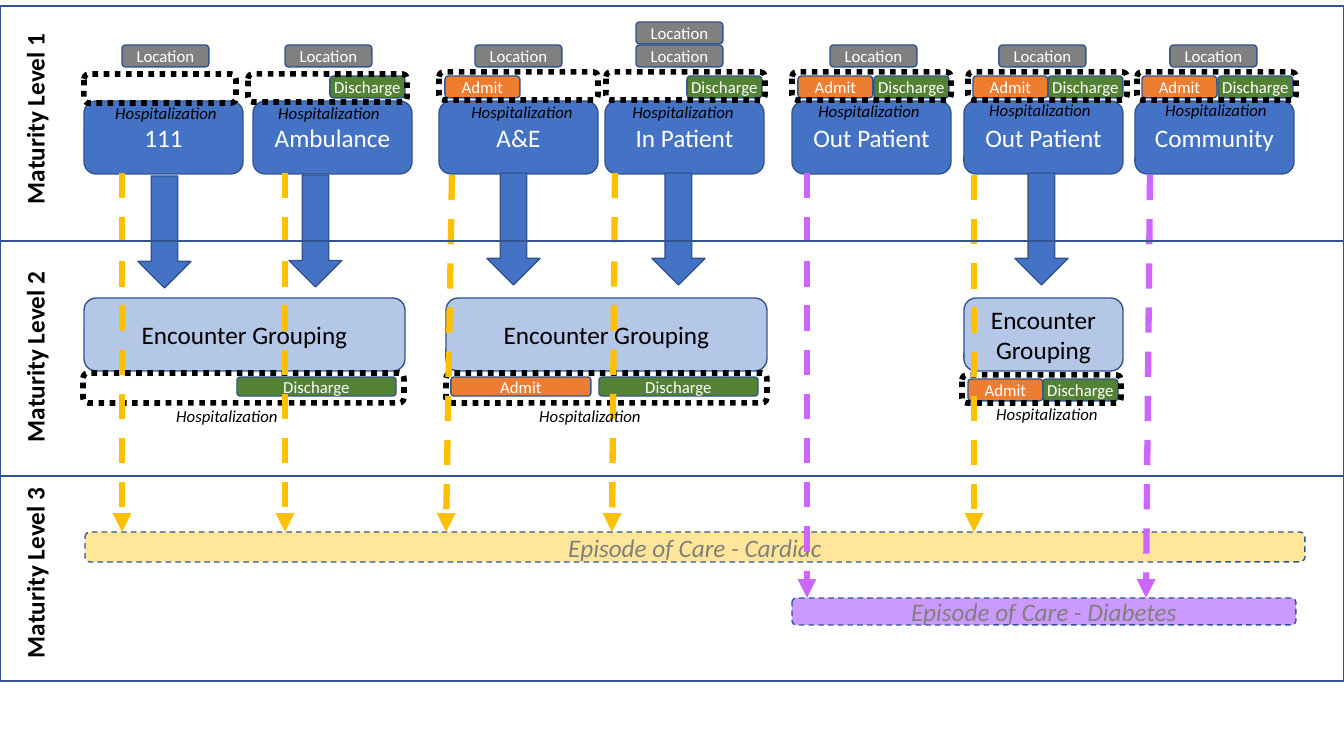
"""Builds the slide on encounters and episodes of care by maturity level."""
import lxml.etree
import pptx
import pptx.dml.color
import pptx.enum.dml
import pptx.enum.shapes
import pptx.enum.text
import pptx.oxml.ns
import pptx.util

SCALE = 914400 / 100.8
NAVY, BLUE, PALE_BLUE = "325491", "4472C4", "B4C7E7"
GREY, ORANGE, GREEN = "808080", "ED7D31", "548235"
BLACK, WHITE = "000000", "FFFFFF"
SHAPES = pptx.enum.shapes.MSO_SHAPE
DASHES = pptx.enum.dml.MSO_LINE
ROUND = SHAPES.ROUNDED_RECTANGLE

deck = pptx.Presentation()
deck.slide_width, deck.slide_height = round(1344 * SCALE), round(756 * SCALE)
page = deck.slides.add_slide(deck.slide_layouts[6])
rgb = pptx.dml.color.RGBColor.from_string


def write(box, text, size, color, bold=False, italic=False):
    frame = box.text_frame
    frame.word_wrap = True
    frame.text = text
    para = frame.paragraphs[0]
    para.alignment = pptx.enum.text.PP_ALIGN.CENTER
    font = para.runs[0].font
    font.name, font.size = "Calibri", pptx.util.Pt(size)
    font.bold, font.italic = bold, italic
    font.color.rgb = rgb(color)


def place(kind, bounds, fill=None, line=NAVY, weight=1, dash=None):
    lengths = [round(value * SCALE) for value in bounds]
    if kind is None:
        box = page.shapes.add_textbox(*lengths)
        box.text_frame.auto_size = pptx.enum.text.MSO_AUTO_SIZE.SHAPE_TO_FIT_TEXT
        return box
    box = page.shapes.add_shape(kind, *lengths)
    box.shadow.inherit = False
    if fill:
        box.fill.solid()
        box.fill.fore_color.rgb = rgb(fill)
    else:
        box.fill.background()
    box.line.color.rgb = rgb(line)
    box.line.width = pptx.util.Pt(weight)
    if dash:
        box.line.dash_style = dash
    box.text_frame.vertical_anchor = pptx.enum.text.MSO_ANCHOR.MIDDLE
    return box


encounters = [("111", 84), ("Ambulance", 253), ("A&E", 439), ("In Patient", 605),
              ("Out Patient", 792), ("Out Patient", 964), ("Community", 1135)]
for name, left in encounters:
    write(place(ROUND, (left, 101, 159, 73), BLUE), name, 18, WHITE)

for level, top in enumerate((99, 337, 553), 1):
    label = place(None, (-64, top, 197, 40))
    label.rotation = 270
    write(label, f"Maturity Level {level}", 18, BLACK, bold=True)

locations = [(left, 45) for left in (122, 285, 475, 636, 830, 999, 1170)]
for left, top in locations + [(636, 22)]:
    write(place(ROUND, (left, top, 87, 22), GREY), "Location", 12, WHITE)

for left, width in ((84, 321), (446, 321), (964, 159)):
    write(place(ROUND, (left, 298, width, 73), PALE_BLUE), "Encounter Grouping", 18, BLACK)

admits = [(left, 76, 75, 22) for left in (445, 798, 973, 1142)]
admits += [(451, 377, 140, 19), (968, 379, 75, 22)]
discharges = [(left, 76, 75, 22) for left in (330, 687, 874, 1048, 1218)]
discharges += [(237, 377, 159, 19), (599, 377, 159, 19), (1043, 379, 75, 22)]
for event, color, spots in (("Admit", ORANGE, admits), ("Discharge", GREEN, discharges)):
    for spot in spots:
        tag = place(ROUND, spot, color)
        tag.text_frame.margin_left = tag.text_frame.margin_right = 0
        write(tag, event, 12, WHITE)

hospital_frames = [(84, 74, 152, 29), (248, 74, 159, 28)]
hospital_frames += [(left, 72, 159, 28) for left in (439, 606, 792, 968, 1137)]
hospital_frames += [(83, 373, 321, 30), (446, 373, 321, 30), (962, 375, 159, 28)]
for spot in hospital_frames:
    place(ROUND, spot, line=BLACK, weight=4, dash=DASHES.ROUND_DOT)

for left, top in ((138, 176), (289, 175), (487, 173), (652, 173), (1015, 173)):
    place(SHAPES.DOWN_ARROW, (left, top, 53, 112), BLUE)

episodes = [("Cardiac", (85, 532, 1220, 30), "FFE699"),
            ("Diabetes", (792, 598, 504, 27), "CC99FF")]
for condition, spot, color in episodes:
    bar = place(ROUND, spot, color, dash=DASHES.DASH)
    write(bar, f"Episode of Care - {condition}", 18, GREY, italic=True)

cardiac_links = [(122, 173, 122), (285, 173, 285), (452, 175, 446),
                 (615, 173, 612), (974, 175, 974)]
diabetes_links = [(807, 173, 807), (1150, 175, 1146)]
for color, bottom, links in (("FFC000", 532, cardiac_links), ("CC66FF", 598, diabetes_links)):
    for start, top, end in links:
        ends = [round(value * SCALE) for value in (start, top, end, bottom)]
        link = page.shapes.add_connector(pptx.enum.shapes.MSO_CONNECTOR.STRAIGHT, *ends)
        link.line.color.rgb = rgb(color)
        link.line.width = pptx.util.Pt(4.5)
        link.line.dash_style = DASHES.DASH
        outline = link.line._get_or_add_ln()
        lxml.etree.SubElement(outline, pptx.oxml.ns.qn("a:tailEnd"), type="triangle")
        lxml.etree.SubElement(link._element.spPr, pptx.oxml.ns.qn("a:effectLst"))

for top, height in ((476, 205), (241, 235), (6, 235)):
    place(SHAPES.RECTANGLE, (0, top, 1344, height))

hospital_labels = [(96, 98), (259, 98), (452, 97), (613, 97), (799, 96),
                   (970, 95), (1146, 95), (157, 401), (520, 401), (977, 399)]
for left, top in hospital_labels:
    write(place(None, (left, top, 140, 30)), "Hospitalization", 12, BLACK, italic=True)

deck.save("out.pptx")
